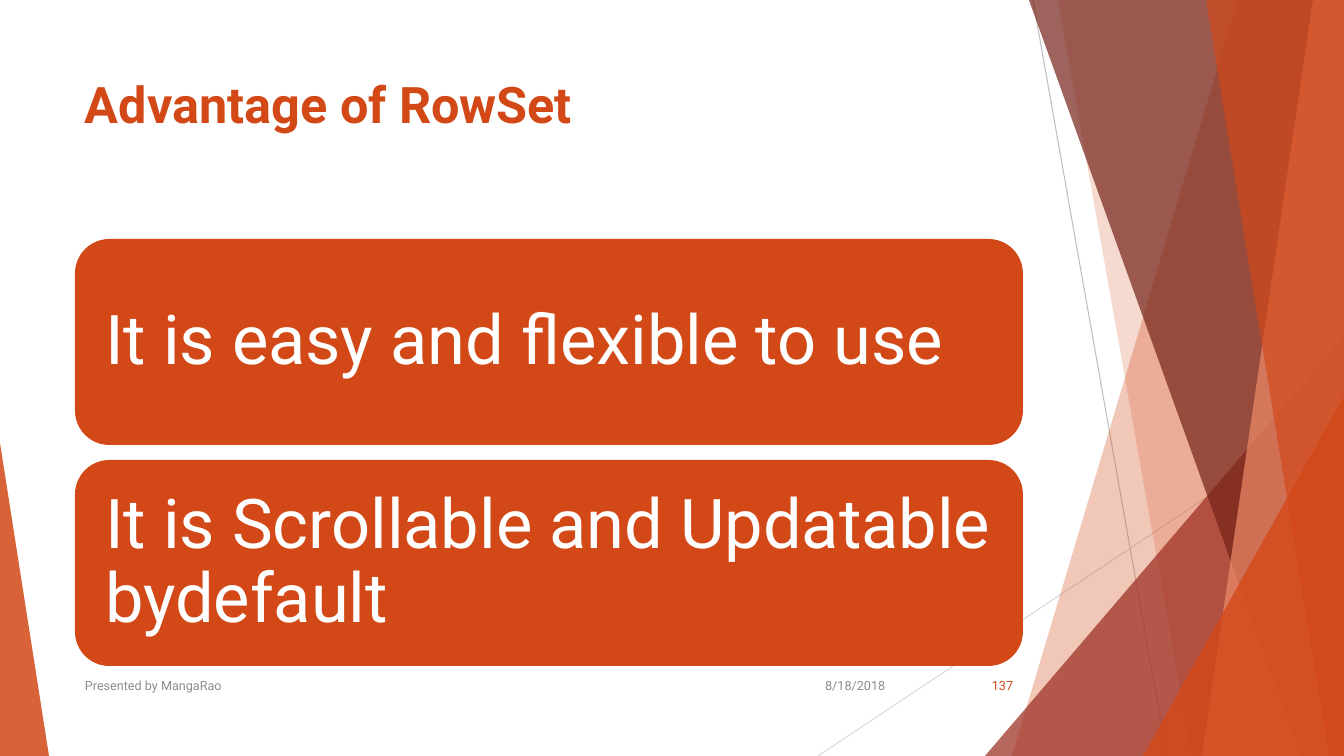
from lxml.etree import SubElement
from pptx import Presentation
from pptx.dml.color import RGBColor
from pptx.enum.shapes import MSO_CONNECTOR as Connector, MSO_SHAPE as Shape
from pptx.enum.text import MSO_ANCHOR as Anchor, PP_ALIGN as Align
from pptx.oxml.ns import qn
from pptx.util import Emu, Pt

SCALE = 914400 / 100.8
WIDTH, HEIGHT = 1344, 756
FONT = "Roboto"
ORANGE = RGBColor(0xD3, 0x48, 0x17)
RED = RGBColor(0x9B, 0x2D, 0x1F)
MAROON = RGBColor(0x74, 0x22, 0x17)
SALMON = RGBColor(0xEF, 0x8C, 0x6A)
WHITE = RGBColor(0xFF, 0xFF, 0xFF)
GRAY = RGBColor(0x8C, 0x8C, 0x8C)
LINE_GRAY = RGBColor(0xBF, 0xBF, 0xBF)
PALE_GRAY = RGBColor(0xD9, 0xD9, 0xD9)


def px(length):
    """Turn pixels into EMU."""
    return Emu(round(length * SCALE))


def paint(shape, color, opacity=100):
    """Give a shape a plain fill with no line or shadow."""
    shape.shadow.inherit = False
    shape.line.fill.background()
    shape.fill.solid()
    shape.fill.fore_color.rgb = color
    if opacity < 100:
        color_element = shape.fill._xPr.find(".//" + qn("a:srgbClr"))
        SubElement(color_element, qn("a:alpha"), val=str(opacity * 1000))


def add_line(slide, start, end, color):
    """Draw a thin straight line."""
    line = slide.shapes.add_connector(
        Connector.STRAIGHT, *map(px, start), *map(px, end))
    line.line.color.rgb = color
    line.line.width = Pt(0.75)
    SubElement(line._element.spPr, qn("a:effectLst"))


def add_wedge(slide, top_x, bottom_x, color, opacity):
    """Fill the area from a slanted full-height edge to the right side."""
    builder = slide.shapes.build_freeform(top_x, 0, scale=SCALE)
    builder.add_line_segments(
        [(WIDTH, 0), (WIDTH, HEIGHT), (bottom_x, HEIGHT)], close=True)
    paint(builder.convert_to_shape(), color, opacity)


def add_corner(slide, left, right, top, apex, color, opacity):
    """Add a right triangle standing on the bottom edge."""
    triangle = slide.shapes.add_shape(
        Shape.ISOSCELES_TRIANGLE,
        px(left), px(top), px(right - left), px(HEIGHT - top))
    triangle.adjustments[0] = apex
    paint(triangle, color, opacity)


def write(shape, text, size, color, align=Align.LEFT, bold=False):
    """Put one formatted paragraph in a shape."""
    frame = shape.text_frame
    frame.word_wrap = True
    frame.text = text
    paragraph = frame.paragraphs[0]
    paragraph.alignment = align
    font = paragraph.runs[0].font
    font.name, font.size, font.bold = FONT, Pt(size), bold
    font.color.rgb = color
    return frame


def add_text(slide, box, text, size, color, anchor=Anchor.MIDDLE, **style):
    """Add a text box."""
    shape = slide.shapes.add_textbox(*map(px, box))
    write(shape, text, size, color, **style).vertical_anchor = anchor


def add_card(slide, top, text):
    """Add a rounded card with large text."""
    card = slide.shapes.add_shape(
        Shape.ROUNDED_RECTANGLE, px(75), px(top), px(948), px(206))
    paint(card, ORANGE)
    frame = write(card, text, 49, WHITE)
    frame.vertical_anchor = Anchor.MIDDLE
    frame.margin_left = frame.margin_right = px(20)
    frame.margin_top = frame.margin_bottom = px(20)
    frame.paragraphs[0].line_spacing = 0.9


def add_backdrop(slide):
    """Draw the overlapping facets on both sides."""
    add_line(slide, (1033, 0), (1167, HEIGHT), LINE_GRAY)
    add_line(slide, (WIDTH, 406), (818, HEIGHT), PALE_GRAY)
    add_wedge(slide, 1238, 1012, ORANGE, 30)
    add_wedge(slide, 1058, 1192, ORANGE, 20)
    add_corner(slide, 985, WIDTH, 336, 1, RED, 72)
    add_wedge(slide, 1029, 1301, MAROON, 70)
    add_wedge(slide, 1313, 1202, SALMON, 70)
    add_wedge(slide, 1206, 1329, ORANGE, 65)
    add_corner(slide, 1143, WIDTH, 396, 1, ORANGE, 80)
    add_corner(slide, 0, 49, 443, 0, ORANGE, 85)


def main():
    """Build and save the slide."""
    presentation = Presentation()
    presentation.slide_width = px(WIDTH)
    presentation.slide_height = px(HEIGHT)
    slide = presentation.slides.add_slide(presentation.slide_layouts[6])
    add_backdrop(slide)
    add_text(slide, (75, 68, 948, 145), "Advantage of RowSet", 36, ORANGE,
             anchor=Anchor.TOP, bold=True)
    cards = ("It is easy and flexible to use",
             "It is Scrollable and Updatable bydefault")
    for index, text in enumerate(cards):
        add_card(slide, 239 + 221 * index, text)
    add_text(slide, (794, 666, 101, 40), "8/18/2018", 9, GRAY,
             align=Align.RIGHT)
    add_text(slide, (75, 666, 695, 40), "Presented by MangaRao", 9, GRAY)
    add_text(slide, (947, 666, 76, 40), "137", 9, ORANGE, align=Align.RIGHT)
    presentation.save("out.pptx")


main()
